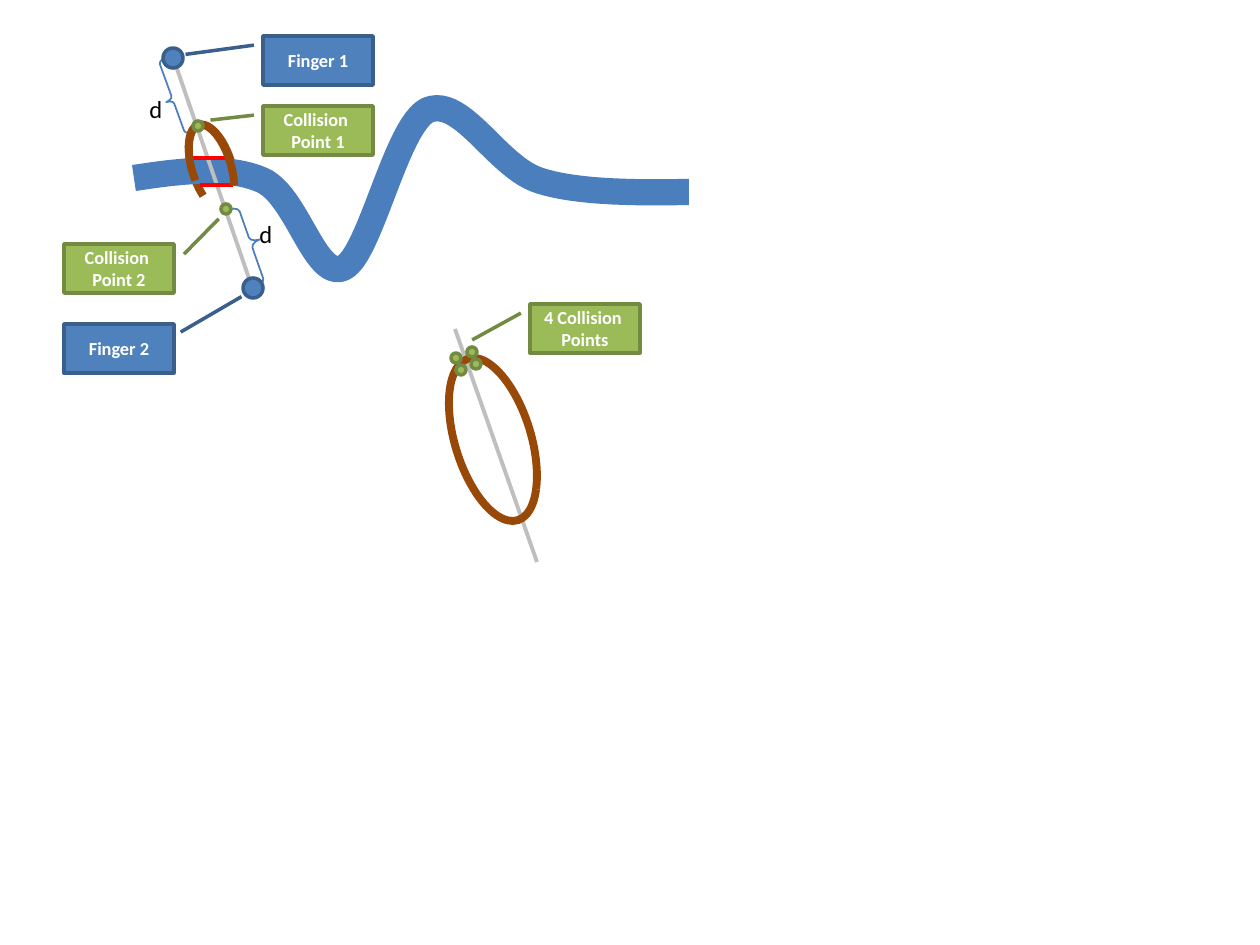
"""Build a slide showing two fingers, a deformed curve and its collision points."""
from dataclasses import dataclass
from typing import Optional

from lxml.etree import SubElement
from pptx import Presentation
from pptx.dml.color import RGBColor
from pptx.enum.shapes import MSO_CONNECTOR, MSO_SHAPE
from pptx.enum.text import MSO_ANCHOR, MSO_AUTO_SIZE, PP_ALIGN
from pptx.oxml.ns import qn
from pptx.util import Emu, Inches, Pt

EMU_PER_PIXEL = Inches(1) / 126
BLUE = RGBColor(0x4F, 0x81, 0xBD)
DARK_BLUE = RGBColor(0x3A, 0x5F, 0x8C)
WAVE_BLUE = RGBColor(0x4B, 0x7E, 0xBC)
GREEN = RGBColor(0x9B, 0xBB, 0x59)
DARK_GREEN = RGBColor(0x73, 0x8A, 0x42)
BROWN = RGBColor(0x98, 0x48, 0x07)
GRAY = RGBColor(0xBF, 0xBF, 0xBF)
RED = RGBColor(0xFF, 0x00, 0x00)
WHITE = RGBColor(0xFF, 0xFF, 0xFF)
BLACK = RGBColor(0x00, 0x00, 0x00)

CALLOUT_SIZE = (110, 49)
FINGER_DIAMETER = 20
POINT_DIAMETER = 10
LETTER_SIZE = (39, 43)
CURVE_STEPS = 24
CALLOUT_FONT = {"name": "Calibri", "size": Pt(10.5), "bold": True}
LETTER_FONT = {"name": "Calibri", "size": Pt(14)}


@dataclass(frozen=True)
class Style:
    line: RGBColor
    width: float
    fill: Optional[RGBColor] = None


@dataclass(frozen=True)
class Callout:
    text: str
    left: int
    top: int
    pointer: tuple
    style: Style


@dataclass(frozen=True)
class Outline:
    kind: MSO_SHAPE
    box: tuple
    rotation: float
    adjustments: tuple
    style: Style
    flipped: bool = False


@dataclass(frozen=True)
class Segment:
    start: tuple
    end: tuple
    color: RGBColor


FINGER = Style(DARK_BLUE, 2, BLUE)
COLLISION = Style(DARK_GREEN, 2, GREEN)
RING = Style(BROWN, 4.5)
BRACE = Style(WAVE_BLUE, 1)
WAVE = Style(WAVE_BLUE, 15)

CALLOUTS = (
    Callout("Finger 1", 263, 36, (0.188, -0.083, 0.376, -0.705), FINGER),
    Callout("Finger 2", 64, 324, (0.166, 1.061, -0.557, 1.614), FINGER),
    Callout("Collision \vPoint 1", 263, 106, (0.188, -0.083, 0.289, -0.478), COLLISION),
    Callout("Collision \vPoint 2", 64, 244, (0.209, 1.091, -0.514, 1.407), COLLISION),
)
FOUR_POINTS = Callout("4 Collision \vPoints", 530, 304, (0.188, -0.083, 0.734, -0.526), COLLISION)


def arc(box: tuple, start: float, end: float, flipped: bool = False) -> Outline:
    return Outline(MSO_SHAPE.ARC, box, 342.9, (start * 0.6, end * 0.6), RING, flipped)


BACK_RING = arc((192, 123, 40, 89), 162, 55.64, True)
FRONT_RING = arc((192, 123, 39, 89), 158.06, 55.61)
LARGE_RING = arc((455, 355, 76, 169), 66.28, 66.1)
BRACES = tuple(
    Outline(MSO_SHAPE.RIGHT_BRACE, box, rotation, (0.295, 0.47), BRACE)
    for box, rotation in (((242, 204, 19, 82), 340.6), ((165, 58, 14, 79), 160))
)
LARGE_AXIS = Segment((455, 329), (537, 562), GRAY)
FINGER_AXIS = Segment((173, 57), (253, 290), GRAY)
CONTACTS = (Segment((193, 158), (226, 158), RED), Segment((200, 185), (233, 185), RED))
FINGERS = ((163, 48), (243, 278))
LETTERS = ((137, 88), (247, 213))
RING_POINTS = ((221, 204), (193, 121))
LARGE_RING_POINTS = ((456, 365), (471, 359), (451, 353), (467, 347))
WAVE_NODES = (
    (134, 178), (180, 171), (227, 165), (262, 180), (297, 195), (315, 280),
    (343, 268), (370, 257), (396, 125), (428, 110), (463, 96), (498, 169),
    (541, 181), (585, 195), (663, 192), (689, 192),
)


def pixels(*values: float) -> tuple:
    return tuple(Emu(round(value * EMU_PER_PIXEL)) for value in values)


def apply_style(shape, style: Style) -> None:
    shape.shadow.inherit = False
    if style.fill is None:
        shape.fill.background()
    else:
        shape.fill.solid()
        shape.fill.fore_color.rgb = style.fill
    shape.line.color.rgb = style.line
    shape.line.width = Pt(style.width)


def write_text(paragraph, text: str, font_values: dict, color: RGBColor) -> None:
    paragraph.text = text
    for run in paragraph.runs:
        for name, value in font_values.items():
            setattr(run.font, name, value)
        run.font.color.rgb = color


def draw_segment(slide, segment: Segment) -> None:
    connector = slide.shapes.add_connector(
        MSO_CONNECTOR.STRAIGHT, *pixels(*segment.start, *segment.end))
    connector.line.color.rgb = segment.color
    connector.line.width = Pt(2.25)
    SubElement(connector.element.spPr, qn("a:effectLst"))


def draw_outline(slide, outline: Outline) -> None:
    shape = slide.shapes.add_shape(outline.kind, *pixels(*outline.box))
    shape.rotation = outline.rotation
    for index, value in enumerate(outline.adjustments):
        shape.adjustments[index] = value
    if outline.flipped:
        shape.element.spPr.xfrm.set("flipH", "1")
    apply_style(shape, outline.style)


def draw_callout(slide, callout: Callout) -> None:
    shape = slide.shapes.add_shape(
        MSO_SHAPE.LINE_CALLOUT_1, *pixels(callout.left, callout.top, *CALLOUT_SIZE))
    for index, value in enumerate(callout.pointer):
        shape.adjustments[index] = value
    apply_style(shape, callout.style)
    shape.text_frame.vertical_anchor = MSO_ANCHOR.MIDDLE
    paragraph = shape.text_frame.paragraphs[0]
    paragraph.alignment = PP_ALIGN.CENTER
    write_text(paragraph, callout.text, CALLOUT_FONT, WHITE)


def draw_circles(slide, corners: tuple, diameter: int, style: Style) -> None:
    for corner in corners:
        shape = slide.shapes.add_shape(MSO_SHAPE.OVAL, *pixels(*corner, diameter, diameter))
        apply_style(shape, style)


def draw_letter(slide, corner: tuple) -> None:
    text_frame = slide.shapes.add_textbox(*pixels(*corner, *LETTER_SIZE)).text_frame
    text_frame.word_wrap = False
    text_frame.auto_size = MSO_AUTO_SIZE.SHAPE_TO_FIT_TEXT
    write_text(text_frame.paragraphs[0], "d", LETTER_FONT, BLACK)


def bezier_point(nodes: tuple, t: float) -> tuple:
    weights = ((1 - t) ** 3, 3 * t * (1 - t) ** 2, 3 * t ** 2 * (1 - t), t ** 3)
    return pixels(*(sum(w * v for w, v in zip(weights, axis)) for axis in zip(*nodes)))


def draw_wave(slide) -> None:
    points = [
        bezier_point(WAVE_NODES[first:first + 4], step / CURVE_STEPS)
        for first in range(0, len(WAVE_NODES) - 1, 3)
        for step in range(1, CURVE_STEPS + 1)
    ]
    builder = slide.shapes.build_freeform(*pixels(*WAVE_NODES[0]))
    builder.add_line_segments(points, close=False)
    apply_style(builder.convert_to_shape(), WAVE)


presentation = Presentation()
presentation.slide_width, presentation.slide_height = Inches(10), Inches(7.5)
slide = presentation.slides.add_slide(presentation.slide_layouts[6])
draw_segment(slide, LARGE_AXIS)
draw_outline(slide, BACK_RING)
draw_wave(slide)
draw_segment(slide, FINGER_AXIS)
for callout in CALLOUTS:
    draw_callout(slide, callout)
for brace in BRACES:
    draw_outline(slide, brace)
draw_circles(slide, FINGERS, FINGER_DIAMETER, FINGER)
for corner in LETTERS:
    draw_letter(slide, corner)
for contact in CONTACTS:
    draw_segment(slide, contact)
draw_outline(slide, FRONT_RING)
draw_circles(slide, RING_POINTS, POINT_DIAMETER, COLLISION)
draw_outline(slide, LARGE_RING)
draw_circles(slide, LARGE_RING_POINTS, POINT_DIAMETER, COLLISION)
draw_callout(slide, FOUR_POINTS)
presentation.save("out.pptx")
